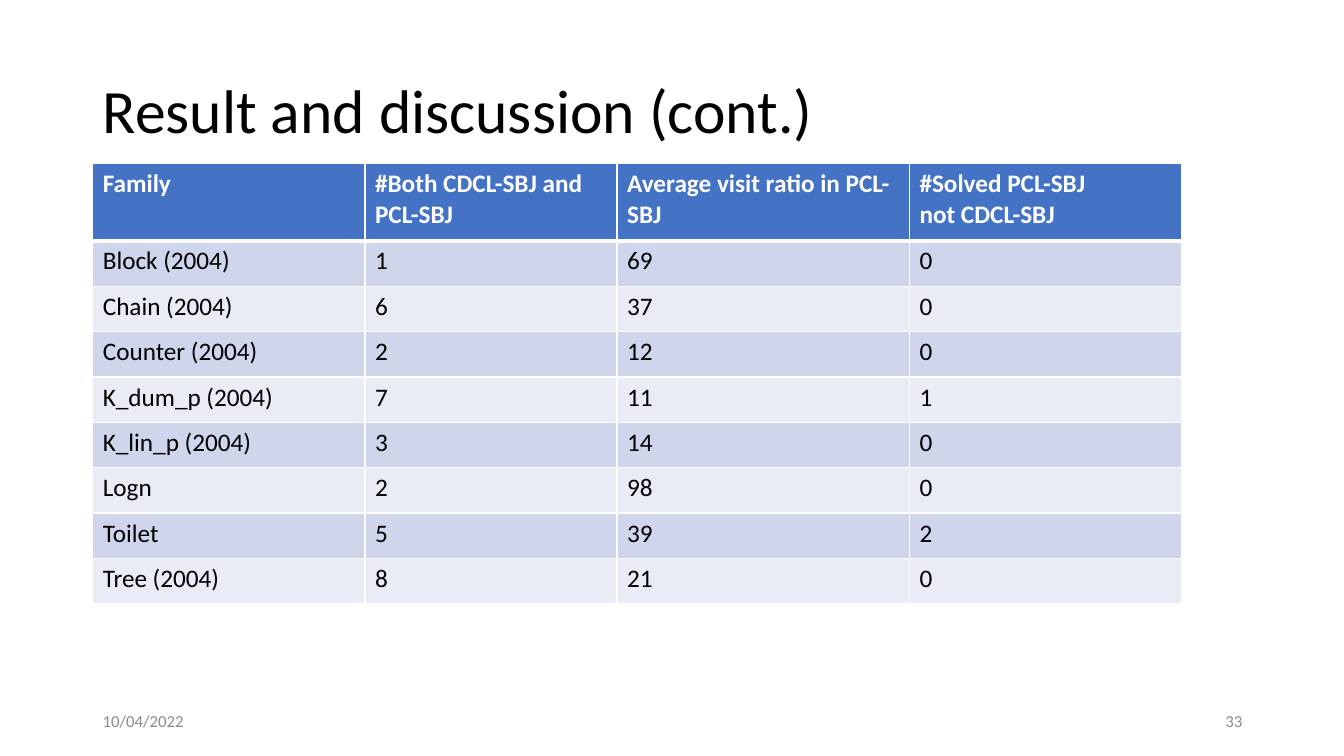
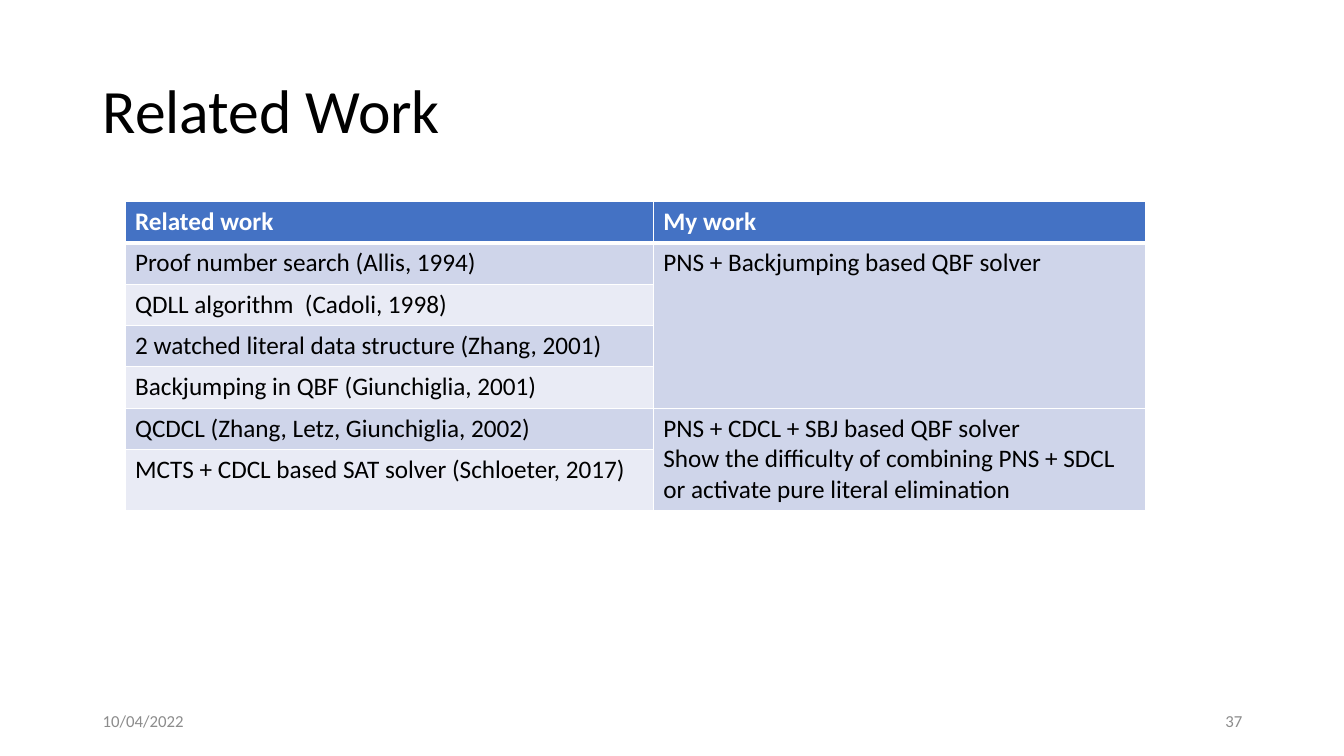
from dataclasses import dataclass

from lxml.etree import SubElement
from pptx import Presentation
from pptx.dml.color import RGBColor
from pptx.enum.text import MSO_ANCHOR, MSO_AUTO_SIZE, PP_ALIGN
from pptx.oxml.ns import qn
from pptx.slide import Slide
from pptx.table import _Cell
from pptx.text.text import TextFrame
from pptx.util import Inches, Pt


# Theme: colours and type sizes
@dataclass(frozen=True)
class Theme:
    font: str = "Calibri"
    ink: str = "000000"
    white: str = "FFFFFF"
    gray: str = "8C8C8C"
    head: str = "4472C4"
    bands: tuple[str, str] = ("E9EBF5", "CFD5EA")
    title: int = 44
    body: int = 18
    small: int = 12


THEME = Theme()
EDGE = 0.92
WIDTH = 11.5
DATE = "10/04/2022"


@dataclass(frozen=True)
class Grid:
    left: float
    top: float
    cols: list[float]
    rows: list[float]
    cells: list[list[str]]
    spans: tuple[tuple[int, int, int], ...] = ()  # column, first row, last row


@dataclass(frozen=True)
class Page:
    title: str
    number: int
    grid: Grid


# Content
PAGES = [
    Page("Result and discussion (cont.)", 33, Grid(
        EDGE, 1.62, [2.7, 2.5, 2.9, 2.7], [0.77] + [0.45] * 8,
        [
            ["Family", "#Both CDCL-SBJ and PCL-SBJ",
             "Average visit ratio in PCL-SBJ", "#Solved PCL-SBJ\nnot CDCL-SBJ"],
            ["Block (2004)", "1", "69", "0"],
            ["Chain (2004)", "6", "37", "0"],
            ["Counter (2004)", "2", "12", "0"],
            ["K_dum_p (2004)", "7", "11", "1"],
            ["K_lin_p (2004)", "3", "14", "0"],
            ["Logn", "2", "98", "0"],
            ["Toilet", "5", "39", "2"],
            ["Tree (2004)", "8", "21", "0"],
        ])),
    Page("Related Work", 37, Grid(
        1.24, 2, [5.24, 4.88], [0.41] * 6 + [0.57],
        [
            ["Related work", "My work"],
            ["Proof number search (Allis, 1994)", "PNS + Backjumping based QBF solver"],
            ["QDLL algorithm  (Cadoli, 1998)", ""],
            ["2 watched literal data structure (Zhang, 2001)", ""],
            ["Backjumping in QBF (Giunchiglia, 2001)", ""],
            ["QCDCL (Zhang, Letz, Giunchiglia, 2002)",
             "PNS + CDCL + SBJ based QBF solver\n"
             "Show the difficulty of combining PNS + SDCL or activate pure literal elimination"],
            ["MCTS + CDCL based SAT solver (Schloeter, 2017)", ""],
        ],
        ((1, 1, 4), (1, 5, 6)))),
]


# Text
def write(frame: TextFrame, text: str, *, size: int = THEME.body,
          color: str = THEME.ink, bold: bool = False,
          align: PP_ALIGN = PP_ALIGN.LEFT, space: float = 1.0) -> None:
    frame.word_wrap = True
    frame.text = text
    for para in frame.paragraphs:
        para.alignment = align
        para.line_spacing = space
        font = para.font
        for face in [font] + [run.font for run in para.runs]:
            face.name, face.size, face.bold = THEME.font, Pt(size), bold
            face.color.rgb = RGBColor.from_string(color)


def add_title(slide: Slide, text: str) -> None:
    title = slide.shapes.title
    title.left, title.top = Inches(EDGE), Inches(0.4)
    title.width, title.height = Inches(WIDTH), Inches(1.45)
    frame = title.text_frame
    frame.auto_size = MSO_AUTO_SIZE.NONE
    frame.vertical_anchor = MSO_ANCHOR.MIDDLE
    write(frame, text, size=THEME.title, space=0.9)


def add_foot(slide: Slide, number: int) -> None:
    wide = 3
    for left, text, align in (
        (EDGE, DATE, PP_ALIGN.LEFT),
        (EDGE + WIDTH - wide, str(number), PP_ALIGN.RIGHT),
    ):
        box = slide.shapes.add_textbox(Inches(left), Inches(6.95), Inches(wide), Inches(0.4))
        box.text_frame.vertical_anchor = MSO_ANCHOR.MIDDLE
        write(box.text_frame, text, size=THEME.small, color=THEME.gray, align=align)


# Table
def edge_cell(cell: _Cell, top: int, base: int) -> None:
    """Draw the white cell borders, with widths in points."""
    props = cell._tc.get_or_add_tcPr()
    sides = {"a:lnL": 1, "a:lnR": 1, "a:lnT": top, "a:lnB": base}
    for spot, (tag, width) in enumerate(sides.items()):
        line = SubElement(props, qn(tag), w=str(Pt(width)))
        fill = SubElement(line, qn("a:solidFill"))
        SubElement(fill, qn("a:srgbClr"), val=THEME.white)
        props.insert(spot, line)  # borders come before the fill


def add_grid(slide: Slide, grid: Grid) -> None:
    table = slide.shapes.add_table(
        len(grid.rows), len(grid.cols), Inches(grid.left), Inches(grid.top),
        Inches(sum(grid.cols)), Inches(sum(grid.rows))).table
    for col, width in zip(table.columns, grid.cols):
        col.width = Inches(width)
    for row, height in zip(table.rows, grid.rows):
        row.height = Inches(height)
    for r, texts in enumerate(grid.cells):
        head = r == 0
        for c, text in enumerate(texts):
            cell = table.cell(r, c)
            cell.fill.solid()
            cell.fill.fore_color.rgb = RGBColor.from_string(
                THEME.head if head else THEME.bands[r % 2])
            edge_cell(cell, top=3 if r == 1 else 1, base=3 if head else 1)
            write(cell.text_frame, text, bold=head,
                  color=THEME.white if head else THEME.ink)
    for col, first, last in grid.spans:
        table.cell(first, col).merge(table.cell(last, col))


def main() -> None:
    deck = Presentation()
    deck.slide_width, deck.slide_height = Inches(13.33), Inches(7.5)
    for page in PAGES:
        slide = deck.slides.add_slide(deck.slide_layouts[5])
        add_title(slide, page.title)
        add_grid(slide, page.grid)
        add_foot(slide, page.number)
    deck.save("out.pptx")


if __name__ == "__main__":
    main()
